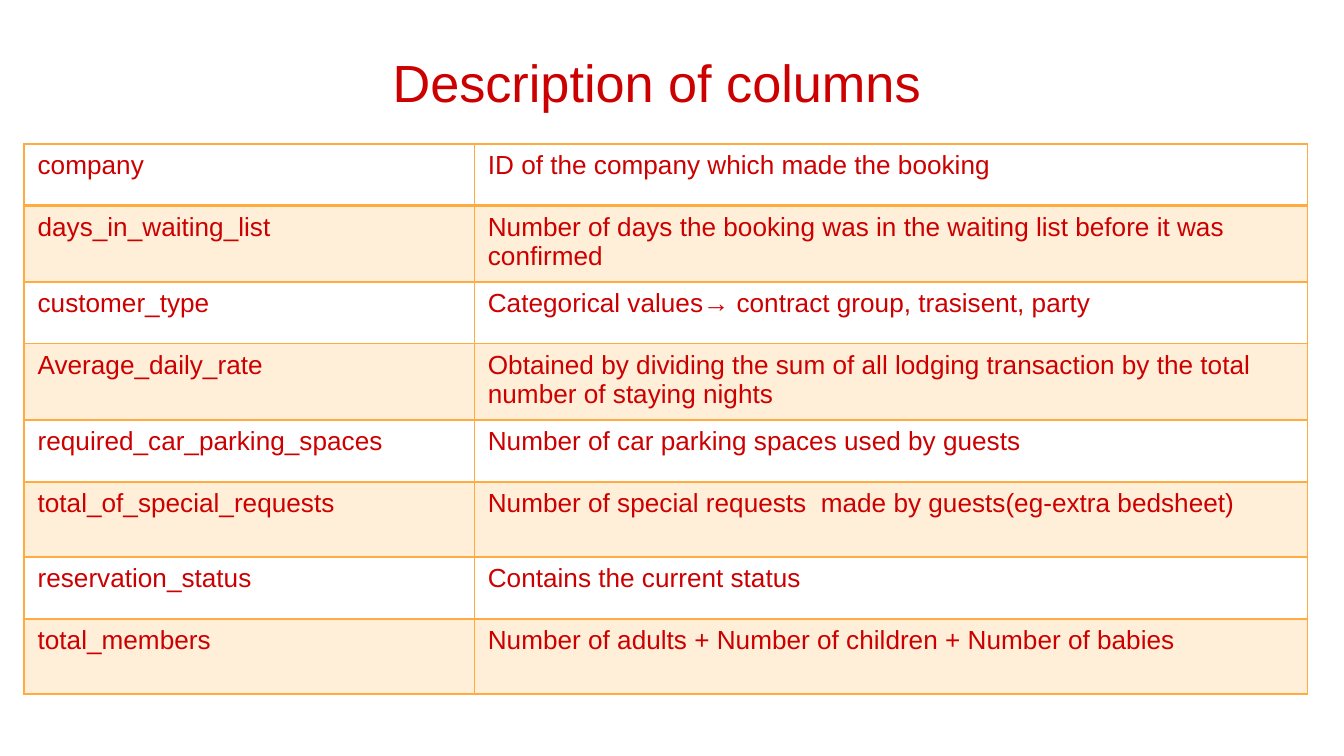
from dataclasses import dataclass

from lxml import etree
from pptx import Presentation
from pptx.dml.color import RGBColor
from pptx.enum.text import MSO_ANCHOR, PP_ALIGN
from pptx.oxml.ns import qn
from pptx.util import Inches, Pt

LEFT, CENTER = PP_ALIGN.LEFT, PP_ALIGN.CENTER
TOP, BOTTOM = MSO_ANCHOR.TOP, MSO_ANCHOR.BOTTOM

# Content
TITLE = "Description of columns"
COLUMNS = [
    ("company", "ID of the company which made the booking"),
    ("days_in_waiting_list",
     "Number of days the booking was in the waiting list before it was confirmed"),
    ("customer_type", "Categorical values→ contract group, trasisent, party"),
    ("Average_daily_rate",
     "Obtained by dividing the sum of all lodging transaction by the total number of staying nights"),
    ("required_car_parking_spaces", "Number of car parking spaces used by guests"),
    ("total_of_special_requests",
     "Number of special requests  made by guests(eg-extra bedsheet)"),
    ("reservation_status", "Contains the current status"),
    ("total_members", "Number of adults + Number of children + Number of babies"),
]


@dataclass(frozen=True)
class Theme:
    font: str = "Arial"
    text: str = "CC0000"
    accent: str = "FFAB40"
    band_opacity: int = 20
    title_size: int = 28
    body_size: int = 14
    line: int = 1
    header_line: int = 2


THEME = Theme()

# Layout in inches, on a 16:9 slide
SLIDE_WIDTH = 10
SLIDE_HEIGHT = SLIDE_WIDTH * 9 / 16
CONTENT_WIDTH = 9.55
TITLE_LEFT, TITLE_TOP, TITLE_HEIGHT = 0.11, 0.06, 0.88
TABLE_LEFT, TABLE_TOP = 0.18, 1.07
NAME_WIDTH = 3.35
COLUMN_WIDTHS = (NAME_WIDTH, CONTENT_WIDTH - NAME_WIDTH)
ROW_HEIGHTS = (0.46, 0.56)  # plain row, banded row
ROW_PAIRS = len(COLUMNS) // 2


def write_text(frame, text, *, size, align=LEFT, anchor=TOP):
    frame.word_wrap = True
    frame.vertical_anchor = anchor
    paragraph = frame.paragraphs[0]
    paragraph.alignment = align
    run = paragraph.add_run()
    run.text = text
    run.font.name = THEME.font
    run.font.size = Pt(size)
    run.font.color.rgb = RGBColor.from_string(THEME.text)


def add_border(properties, side, width):
    line = etree.SubElement(properties, qn(f"a:ln{side}"), w=str(Pt(width)))
    fill = etree.SubElement(line, qn("a:solidFill"))
    etree.SubElement(fill, qn("a:srgbClr"), val=THEME.accent)


def style_cell(cell, row):
    properties = cell._tc.get_or_add_tcPr()
    for side in "LRTB":
        header_edge = (row, side) in ((0, "B"), (1, "T"))
        add_border(properties, side, THEME.header_line if header_edge else THEME.line)
    if row % 2:
        cell.fill.solid()
        cell.fill.fore_color.rgb = RGBColor.from_string(THEME.accent)
        color = properties.find(f"{qn('a:solidFill')}/{qn('a:srgbClr')}")
        etree.SubElement(color, qn("a:alpha"), val=str(THEME.band_opacity * 1000))
    else:
        cell.fill.background()


def add_title(slide):
    box = slide.shapes.add_textbox(
        Inches(TITLE_LEFT), Inches(TITLE_TOP), Inches(CONTENT_WIDTH), Inches(TITLE_HEIGHT))
    frame = box.text_frame
    frame.margin_left = frame.margin_right = Inches(0.1)
    frame.margin_top = frame.margin_bottom = Inches(0.1)
    write_text(frame, TITLE, size=THEME.title_size, align=CENTER, anchor=BOTTOM)


def add_column_table(slide):
    table = slide.shapes.add_table(
        len(COLUMNS), len(COLUMN_WIDTHS), Inches(TABLE_LEFT), Inches(TABLE_TOP),
        Inches(CONTENT_WIDTH), Inches(sum(ROW_HEIGHTS) * ROW_PAIRS)).table
    table.first_row = table.horz_banding = False
    for column, width in zip(table.columns, COLUMN_WIDTHS):
        column.width = Inches(width)
    for row, texts in enumerate(COLUMNS):
        table.rows[row].height = Inches(ROW_HEIGHTS[row % 2])
        for column, text in enumerate(texts):
            cell = table.cell(row, column)
            style_cell(cell, row)
            write_text(cell.text_frame, text, size=THEME.body_size)


def main():
    presentation = Presentation()
    presentation.slide_width = Inches(SLIDE_WIDTH)
    presentation.slide_height = Inches(SLIDE_HEIGHT)
    slide = presentation.slides.add_slide(presentation.slide_layouts[6])
    add_title(slide)
    add_column_table(slide)
    presentation.save("out.pptx")


if __name__ == "__main__":
    main()
